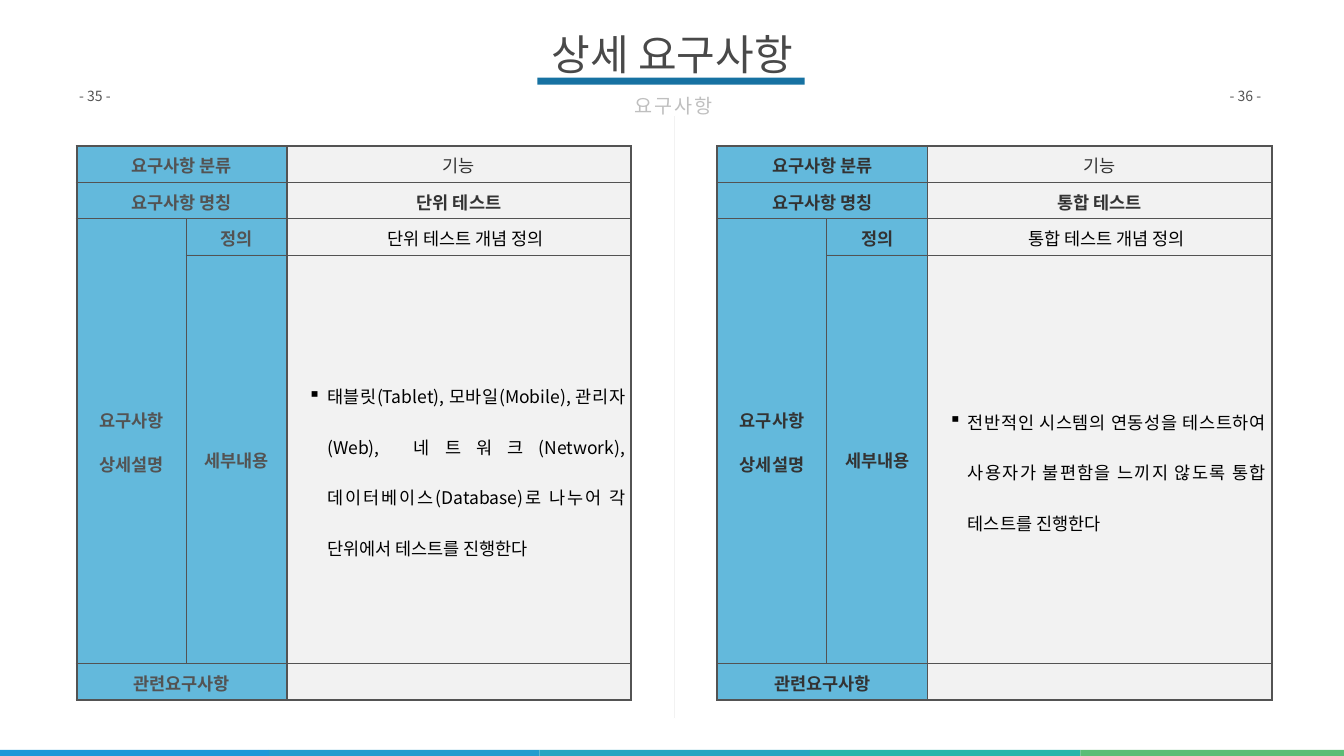
"""Build the detailed requirements slide with two requirement tables."""
from dataclasses import dataclass
from typing import Any

import pptx
import pptx.dml.color
import pptx.enum.shapes
import pptx.enum.text
import pptx.oxml
import pptx.oxml.ns
import pptx.util
from pptx.util import Inches

FONT = "Noto Sans CJK KR"
GREY, DARK, BLACK = "535353", "333333", "000000"
LABEL_FILL, VALUE_FILL = "229CCE", "F2F2F2"
CENTER = pptx.enum.text.PP_ALIGN.CENTER
JUSTIFY = pptx.enum.text.PP_ALIGN.JUSTIFY
MIDDLE = pptx.enum.text.MSO_ANCHOR.MIDDLE
COLUMN_WIDTHS = (2.17, 2, 6.83)
ROW_HEIGHTS = (0.72, 0.72, 0.72, 8.11, 0.72)
COLUMN_EDGES = (3, 1, 2.25, 3)
ROW_EDGES = (3, 1, 1, 1, 1, 3)
BAND_COLORS = ("1F98D8", "229CCE", "27A5C1", "24B6AB", "5BBD76")
BAND_STEP = 5.365


@dataclass
class Requirement:
    """One requirement table and its page number."""
    left: float
    label_color: str
    name: str
    definition: str
    detail: str
    page_number: str
    page_left: float
    page_width: float


@dataclass
class Entry:
    """Text of one table cell and its formatting."""
    row: int
    column: int
    text: str
    color: str
    bold: bool = False
    margin: float = 0
    indent: float = 0
    bullet: str = ""


REQUIREMENTS = (
    Requirement(1.52, GREY, "단위 테스트", "단위 테스트 개념 정의",
                "태블릿(Tablet), 모바일(Mobile), 관리자(Web), 네트워크(Network), "
                "데이터베이스(Database)로 나누어 각 단위에서 테스트를 진행한다",
                "- 35 -", 1.52, 0.94),
    Requirement(14.23, DARK, "통합 테스트", "통합 테스트 개념 정의",
                "전반적인 시스템의 연동성을 테스트하여 사용자가 불편함을 느끼지 "
                "않도록 통합 테스트를 진행한다",
                "- 36 -", 24.34, 0.9),
)


def rgb(color: str) -> pptx.dml.color.RGBColor:
    """Turn a hex string into a colour."""
    return pptx.dml.color.RGBColor.from_string(color)


def add_element(parent: Any, tag: str, **attributes: str) -> Any:
    """Append a DrawingML element to a parent."""
    element = pptx.oxml.parse_xml(f"<{tag} {pptx.oxml.ns.nsdecls('a')}/>")
    for name, value in attributes.items():
        element.set(name, value)
    parent.append(element)
    return element


def set_font(para: Any, size: float, color: str, bold: bool = False) -> None:
    """Set the font of a whole paragraph."""
    font = para.font
    font.size = pptx.util.Pt(size)
    font.bold = bold
    font.color.rgb = rgb(color)
    font.name = FONT
    add_element(font._rPr, "a:ea", typeface=FONT)


def set_margins(frame: Any, side: float, edge: float) -> None:
    """Set the horizontal and vertical margins of a text frame."""
    frame.margin_left = frame.margin_right = Inches(side)
    frame.margin_top = frame.margin_bottom = Inches(edge)


def add_bar(page: Any, left: float, top: float, width: float, height: float, color: str) -> Any:
    """Draw a plain filled rectangle."""
    bar = page.shapes.add_shape(pptx.enum.shapes.MSO_SHAPE.RECTANGLE, Inches(left),
                                Inches(top), Inches(width), Inches(height))
    bar.shadow.inherit = False
    bar.fill.solid()
    bar.fill.fore_color.rgb = rgb(color)
    bar.line.fill.background()
    return bar


def add_text(page: Any, left: float, top: float, width: float, height: float, text: str) -> Any:
    """Add a text box and return its text frame."""
    box = page.shapes.add_textbox(Inches(left), Inches(top), Inches(width), Inches(height))
    box.text_frame.text = text
    return box.text_frame


def format_cell(cell: Any, row: int, column: int) -> None:
    """Give a cell its borders and fill."""
    bottom = row + (cell.span_height if cell.is_merge_origin else 1)
    right = column + (cell.span_width if cell.is_merge_origin else 1)
    properties = cell._tc.get_or_add_tcPr()
    widths = {"L": COLUMN_EDGES[column], "R": COLUMN_EDGES[right],
              "T": ROW_EDGES[row], "B": ROW_EDGES[bottom]}
    for side, width in widths.items():
        line = add_element(properties, f"a:ln{side}", w=str(pptx.util.Pt(width)))
        add_element(add_element(line, "a:solidFill"), "a:srgbClr", val=GREY)
    is_label = column < 2
    cell.fill.solid()
    cell.fill.fore_color.rgb = rgb(LABEL_FILL if is_label else VALUE_FILL)
    if is_label:
        color = properties.find(pptx.oxml.ns.qn("a:solidFill"))[0]
        add_element(color, "a:alpha", val="70000")


def fill_cell(cell: Any, entry: Entry) -> None:
    """Write an entry into its cell."""
    cell.vertical_anchor = MIDDLE
    cell.margin_left = cell.margin_top = cell.margin_bottom = Inches(0.01)
    cell.margin_right = Inches(0.12 if entry.bullet else 0.01)
    cell.text = entry.text
    for index, para in enumerate(cell.text_frame.paragraphs):
        para.alignment = JUSTIFY if entry.bullet else CENTER
        para.line_spacing = 2.0 if entry.bullet else 1.07
        if not entry.bullet:
            para.space_before = pptx.util.Pt(12 if index else 0)
            para.space_after = pptx.util.Pt(12)
        properties = para._p.get_or_add_pPr()
        properties.set("marL", str(Inches(entry.margin)))
        properties.set("indent", str(Inches(entry.indent)))
        if entry.bullet:
            add_element(properties, "a:buChar", char=entry.bullet)
        set_font(para, 25, entry.color, entry.bold)


def add_requirement(page: Any, item: Requirement) -> None:
    """Draw one requirement table with its page number."""
    frame = page.shapes.add_table(len(ROW_HEIGHTS), len(COLUMN_WIDTHS), Inches(item.left),
                                  Inches(2.9), Inches(sum(COLUMN_WIDTHS)),
                                  Inches(sum(ROW_HEIGHTS)))
    table = frame.table
    table.first_row = table.horz_banding = False
    for column, width in zip(table.columns, COLUMN_WIDTHS):
        column.width = Inches(width)
    for row, height in zip(table.rows, ROW_HEIGHTS):
        row.height = Inches(height)
    for row in (0, 1, 4):
        table.cell(row, 0).merge(table.cell(row, 1))
    table.cell(2, 0).merge(table.cell(3, 0))
    for row in range(len(ROW_HEIGHTS)):
        for column in range(len(COLUMN_WIDTHS)):
            format_cell(table.cell(row, column), row, column)
    labels = ((0, 0, "요구사항 분류"), (1, 0, "요구사항 명칭"), (2, 0, "요구사항\n상세설명"),
              (2, 1, "정의"), (3, 1, "세부내용"), (4, 0, "관련요구사항"))
    entries = [Entry(*label, item.label_color, True) for label in labels]
    entries += [Entry(0, 2, "기능", DARK),
                Entry(1, 2, item.name, DARK, True, 0.19, -0.19),
                Entry(2, 2, item.definition, BLACK, False, 0.47, -0.21),
                Entry(3, 2, item.detail, BLACK, False, 0.79, -0.38, "▪")]
    for entry in entries:
        fill_cell(table.cell(entry.row, entry.column), entry)
    number = add_text(page, item.page_left, 1.68, item.page_width, 0.44, item.page_number)
    number.word_wrap = True
    set_margins(number, 0.05, 0.05)
    set_font(number.paragraphs[0], 20, GREY)


def add_heading(page: Any) -> None:
    """Write the title, its underline and the subtitle."""
    title = page.shapes.title
    title.left, title.top, title.width, title.height = map(Inches, (10.53, 0.44, 5.6, 1.24))
    frame = title.text_frame
    frame.text = "상세 요구사항"
    frame.word_wrap = True
    frame.auto_size = pptx.enum.text.MSO_AUTO_SIZE.NONE
    frame.vertical_anchor = MIDDLE
    set_margins(frame, 0.12, 0.12)
    frame.paragraphs[0].alignment = CENTER
    set_font(frame.paragraphs[0], 60, "494949")
    add_bar(page, 10.66, 1.54, 5.3, 0.14, "1772A2")
    subtitle = add_text(page, 12.33, 1.65, 2.05, 0.78, "요구사항")
    subtitle.word_wrap = False
    set_margins(subtitle, 0.24, 0.12)
    para = subtitle.paragraphs[0]
    para.alignment = CENTER
    para.line_spacing = 1.2
    set_font(para, 28, "BFBFBF")
    para.font._rPr.set("spc", "300")


def main() -> None:
    """Build and save the deck."""
    deck = pptx.Presentation()
    deck.slide_width, deck.slide_height = Inches(26.66), Inches(15)
    page = deck.slides.add_slide(deck.slide_layouts[5])
    for index, color in enumerate(BAND_COLORS):
        add_bar(page, -0.03 + index * BAND_STEP, 14.88, BAND_STEP, 0.2, color)
    divider = add_bar(page, 13.35, 2.29, 0.05, 11.96, VALUE_FILL)
    divider.line.color.rgb = rgb("FFFFFF")
    divider.line.width = pptx.util.Pt(1)
    for item in REQUIREMENTS:
        add_requirement(page, item)
    add_heading(page)
    deck.save("out.pptx")


if __name__ == "__main__":
    main()
